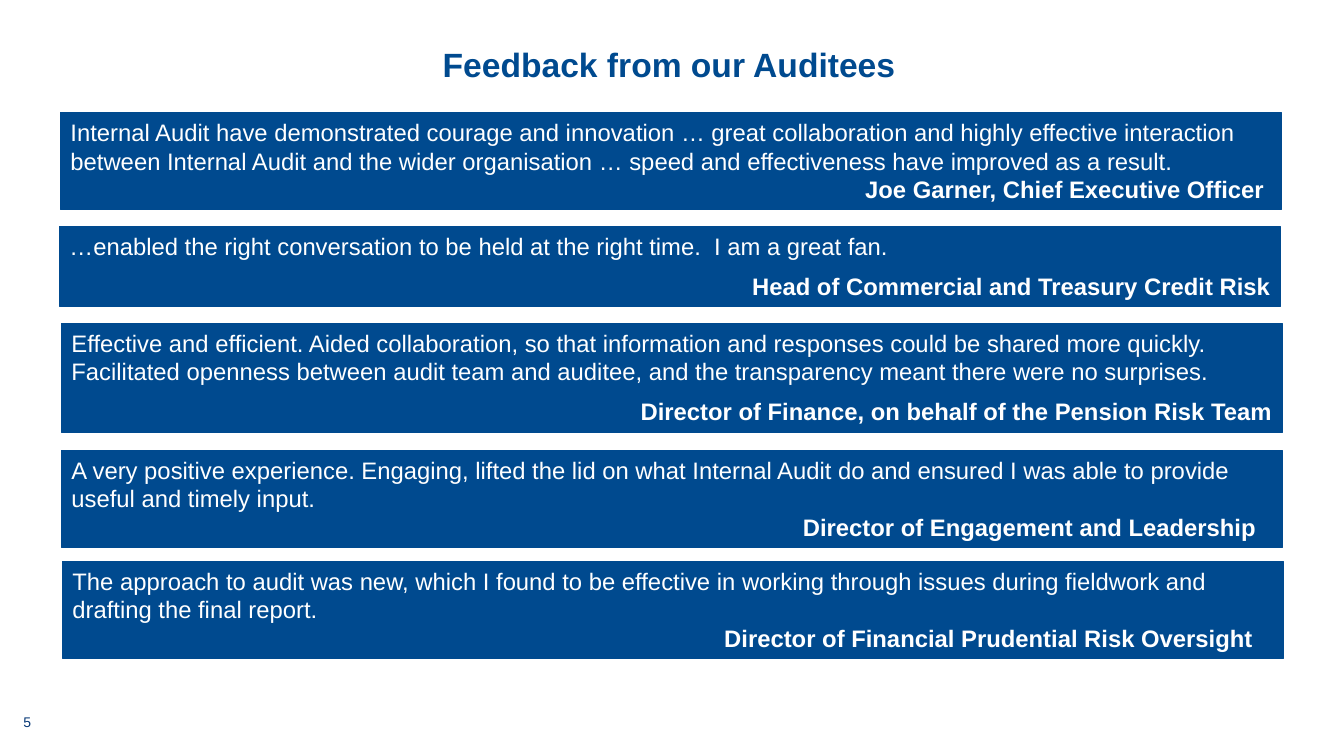
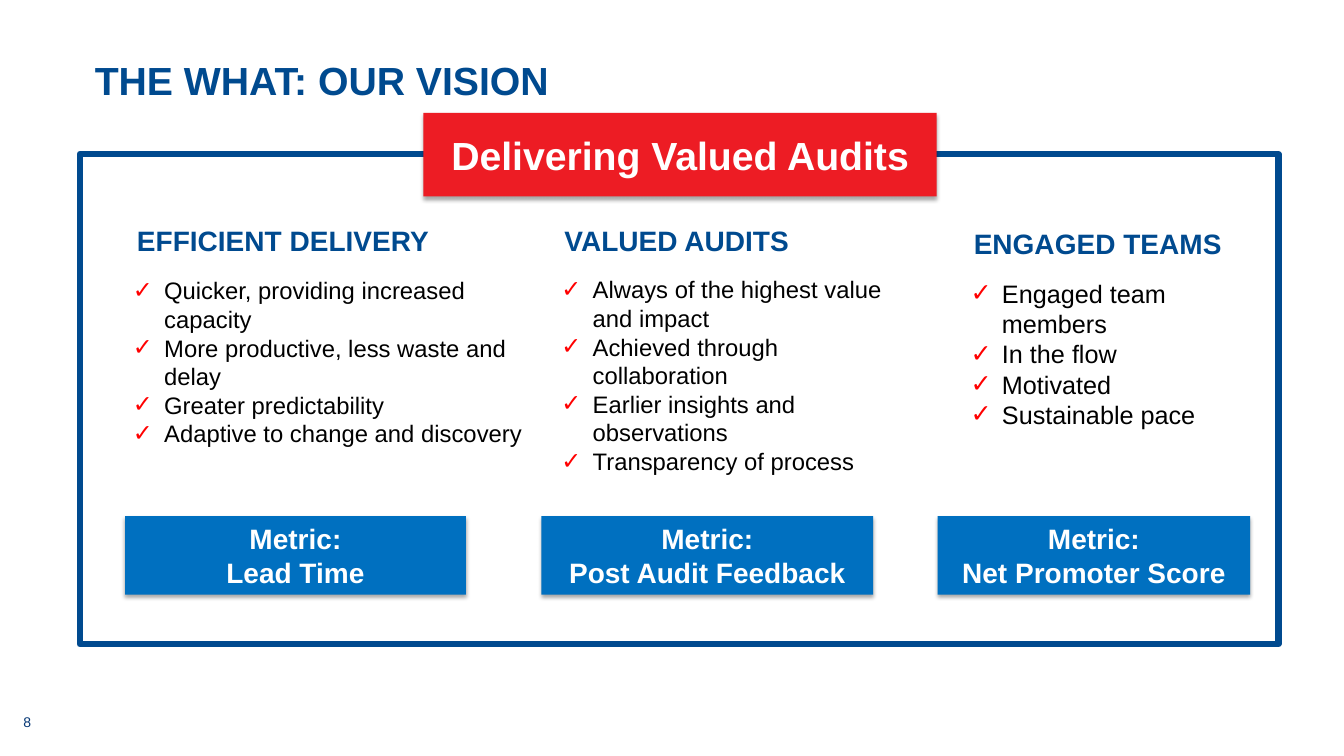
from dataclasses import dataclass

from lxml.etree import SubElement
from pptx import Presentation
from pptx.dml.color import RGBColor
from pptx.enum.shapes import MSO_SHAPE as Shape
from pptx.enum.text import MSO_ANCHOR as Anchor, MSO_AUTO_SIZE as AutoSize, PP_ALIGN as Align
from pptx.oxml.ns import qn
from pptx.util import Inches, Pt


@dataclass(frozen=True)
class Theme:
    font: str = "Arial"
    navy: str = "004A8F"
    number: str = "073876"
    blue: str = "0070C0"
    red: str = "ED1C24"
    tick: str = "FF0000"
    white: str = "FFFFFF"
    black: str = "000000"
    number_size: int = 10
    quote_size: int = 17
    heading_size: int = 20
    title_size: int = 24
    large_size: int = 28


THEME = Theme()

FEEDBACK = {
    "number": "5",
    "title": "Feedback from our Auditees",
    "quotes": [
        dict(at=(0.6, 1.12, 12.11, 0.96), right=0.17, gap=0,
             quote="Internal Audit have demonstrated courage and innovation … great collaboration and highly "
                   "effective interaction between Internal Audit and the wider organisation … speed and "
                   "effectiveness have improved as a result.",
             source="Joe Garner, Chief Executive Officer"),
        dict(at=(0.59, 2.25, 12.11, 0.79), right=0.1, gap=8,
             quote="…enabled the right conversation to be held at the right time.  I am a great fan.",
             source="Head of Commercial and Treasury Credit Risk"),
        dict(at=(0.61, 3.21, 12.11, 1.08), right=0.1, gap=8,
             quote="Effective and efficient. Aided collaboration, so that information and responses could be "
                   "shared more quickly. Facilitated openness between audit team and auditee, and the "
                   "transparency meant there were no surprises.",
             source="Director of Finance, on behalf of the Pension Risk Team"),
        dict(at=(0.61, 4.47, 12.11, 0.96), right=0.26, gap=0,
             quote="A very positive experience. Engaging, lifted the lid on what Internal Audit do and "
                   "ensured I was able to provide useful and timely input.",
             source="Director of Engagement and Leadership"),
        dict(at=(0.62, 5.57, 12.11, 0.96), right=0.3, gap=0,
             quote="The approach to audit was new, which I found to be effective in working through issues "
                   "during fieldwork and drafting the final report.",
             source="Director of Financial Prudential Risk Oversight"),
    ],
}

VISION = {
    "number": "8",
    "title": "THE WHAT: OUR VISION",
    "banner": "Delivering Valued Audits",
    "columns": [
        dict(heading="EFFICIENT DELIVERY", heading_at=(1.26, 2.17, 3.35, 0.44),
             list_at=(1.22, 2.69, 4.11, 2.37), size=17,
             points=["Quicker, providing increased capacity", "More productive, less waste and delay",
                     "Greater predictability", "Adaptive to change and discovery"],
             metric="Lead Time", metric_at=(1.24, 5.12, 3.38, 0.78)),
        dict(heading="VALUED AUDITS", heading_at=(5.5, 2.17, 2.65, 0.44),
             list_at=(5.47, 2.68, 3.68, 2.37), size=17,
             points=["Always of the highest value and impact", "Achieved through collaboration",
                     "Earlier insights and observations", "Transparency of process"],
             metric="Post Audit Feedback", metric_at=(5.37, 5.12, 3.29, 0.78)),
        dict(heading="ENGAGED TEAMS", heading_at=(9.56, 2.2, 2.84, 0.44),
             list_at=(9.53, 2.71, 3.1, 1.88), size=18,
             points=["Engaged team members", "In the flow", "Motivated", "Sustainable pace"],
             metric="Net Promoter Score", metric_at=(9.3, 5.12, 3.1, 0.78)),
    ],
}


def apply(target, values):
    for name, value in values.items():
        setattr(target, name, value)


def add_tick(para):
    props = para._p.get_or_add_pPr()
    props.set("marL", str(Inches(0.31)))
    props.set("indent", str(-Inches(0.31)))
    colour = SubElement(props, qn("a:buClr"))
    SubElement(colour, qn("a:srgbClr"), val=THEME.tick)
    SubElement(props, qn("a:buFont"), typeface=THEME.font)
    SubElement(props, qn("a:buChar"), char="✓")


def format_para(para, text, size, colour, bold=False, ticked=False, **layout):
    para.text = text
    if ticked:
        add_tick(para)
    apply(para, layout)
    apply(para.font, dict(name=THEME.font, size=Pt(size), bold=bold))
    para.font.color.rgb = RGBColor.from_string(colour)


def write(box, lines, anchor=Anchor.TOP, wrap=True, inset=None, **style):
    frame = box.text_frame
    apply(frame, dict(auto_size=AutoSize.NONE, word_wrap=wrap, vertical_anchor=anchor))
    if inset is not None:
        apply(frame, dict.fromkeys(("margin_left", "margin_top", "margin_right", "margin_bottom"), inset))
    for index, line in enumerate(lines):
        para = frame.add_paragraph() if index else frame.paragraphs[0]
        format_para(para, line, **style)


def add_text(page, at, lines, **style):
    box = page.shapes.add_textbox(*map(Inches, at))
    write(box, lines, **style)
    return box


def add_panel(page, at, fill, line=None, weight=0.75):
    panel = page.shapes.add_shape(Shape.RECTANGLE, *map(Inches, at))
    panel.shadow.inherit = False
    panel.fill.solid()
    panel.fill.fore_color.rgb = RGBColor.from_string(fill)
    if line:
        panel.line.color.rgb = RGBColor.from_string(line)
        panel.line.width = Pt(weight)
    else:
        panel.line.fill.background()
    return panel


def add_raised_label(page, at, fill, lines, size):
    label = add_panel(page, at, fill)
    effects = label._element.spPr.find(qn("a:effectLst"))
    shadow = SubElement(effects, qn("a:outerShdw"), blurRad=str(Pt(3.1)), dist=str(Pt(1.8)),
                        dir="5400000", rotWithShape="0")
    colour = SubElement(shadow, qn("a:srgbClr"), val=THEME.black)
    SubElement(colour, qn("a:alpha"), val="35000")
    write(label, lines, anchor=Anchor.MIDDLE, size=size, colour=THEME.white, bold=True,
          alignment=Align.CENTER)


def add_page(deck, content, title_at, **title_style):
    page = deck.slides.add_slide(deck.slide_layouts[5])
    title = page.shapes.title
    apply(title, dict(zip(("left", "top", "width", "height"), map(Inches, title_at))))
    write(title, [content["title"]], colour=THEME.navy, bold=True, **title_style)
    add_text(page, (0, 7.11, 0.54, 0.39), [content["number"]], inset=0, size=THEME.number_size,
             colour=THEME.number, alignment=Align.CENTER, line_spacing=0.8)
    return page


def build_feedback(deck):
    page = add_page(deck, FEEDBACK, (0.56, 0.51, 12.15, 0.49), inset=0, size=THEME.title_size,
                    alignment=Align.CENTER, line_spacing=0.8)
    for item in FEEDBACK["quotes"]:
        panel = add_panel(page, item["at"], THEME.navy, THEME.navy)
        style = dict(size=THEME.quote_size, colour=THEME.white)
        write(panel, [item["quote"]], alignment=Align.LEFT, **style)
        panel.text_frame.margin_right = Inches(item["right"])
        format_para(panel.text_frame.add_paragraph(), item["source"], bold=True,
                    alignment=Align.RIGHT, space_before=Pt(item["gap"]), **style)


def build_vision(deck):
    page = add_page(deck, VISION, (0.84, 0.51, 4.75, 0.57), wrap=False, size=THEME.large_size,
                    alignment=Align.LEFT)
    add_panel(page, (0.79, 1.53, 11.89, 4.86), THEME.white, THEME.navy, 4.5)
    add_raised_label(page, (4.2, 1.12, 5.09, 0.83), THEME.red, [VISION["banner"]], THEME.large_size)
    for column in VISION["columns"]:
        add_text(page, column["heading_at"], [column["heading"]], size=THEME.heading_size,
                 colour=THEME.navy, bold=True)
        add_text(page, column["list_at"], column["points"], size=column["size"],
                 colour=THEME.black, ticked=True)
        add_raised_label(page, column["metric_at"], THEME.blue, ["Metric:", column["metric"]],
                         THEME.heading_size)


def main():
    deck = Presentation()
    apply(deck, dict(slide_width=Inches(13.33), slide_height=Inches(7.5)))
    build_feedback(deck)
    build_vision(deck)
    deck.save("out.pptx")


if __name__ == "__main__":
    main()
